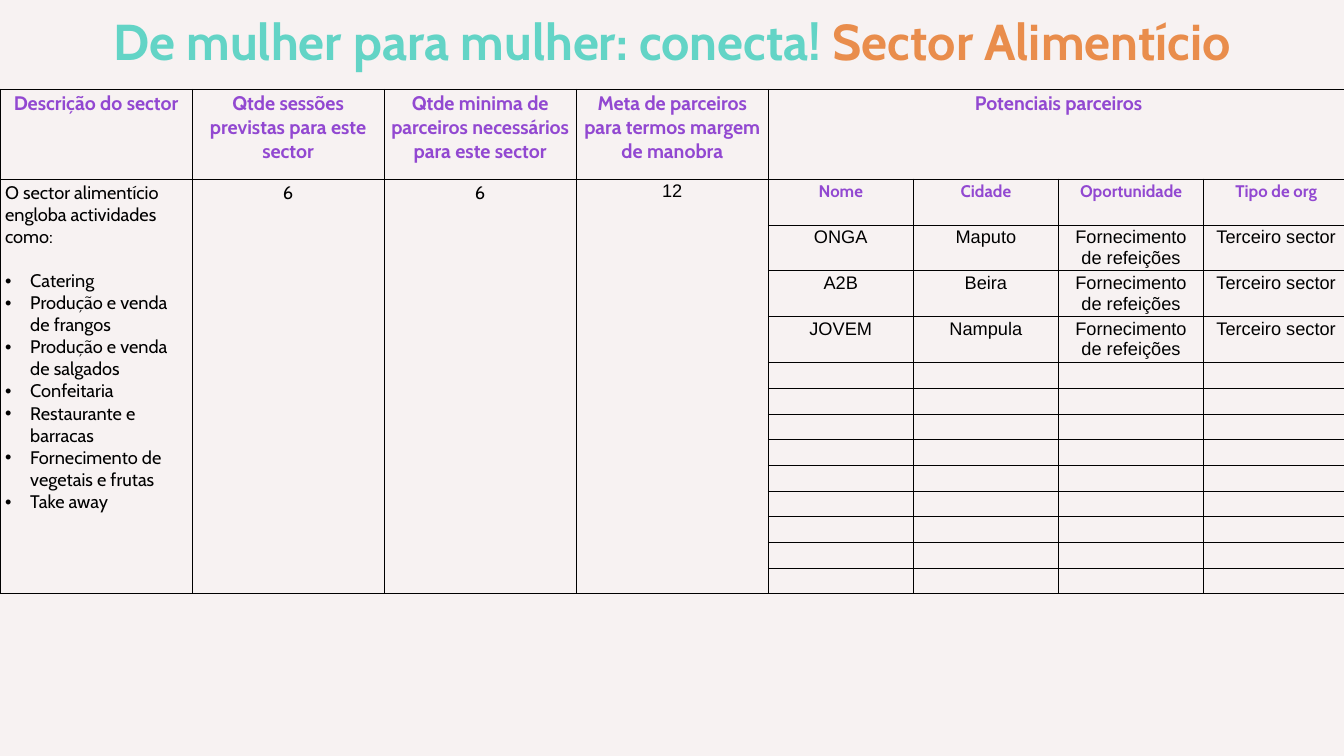
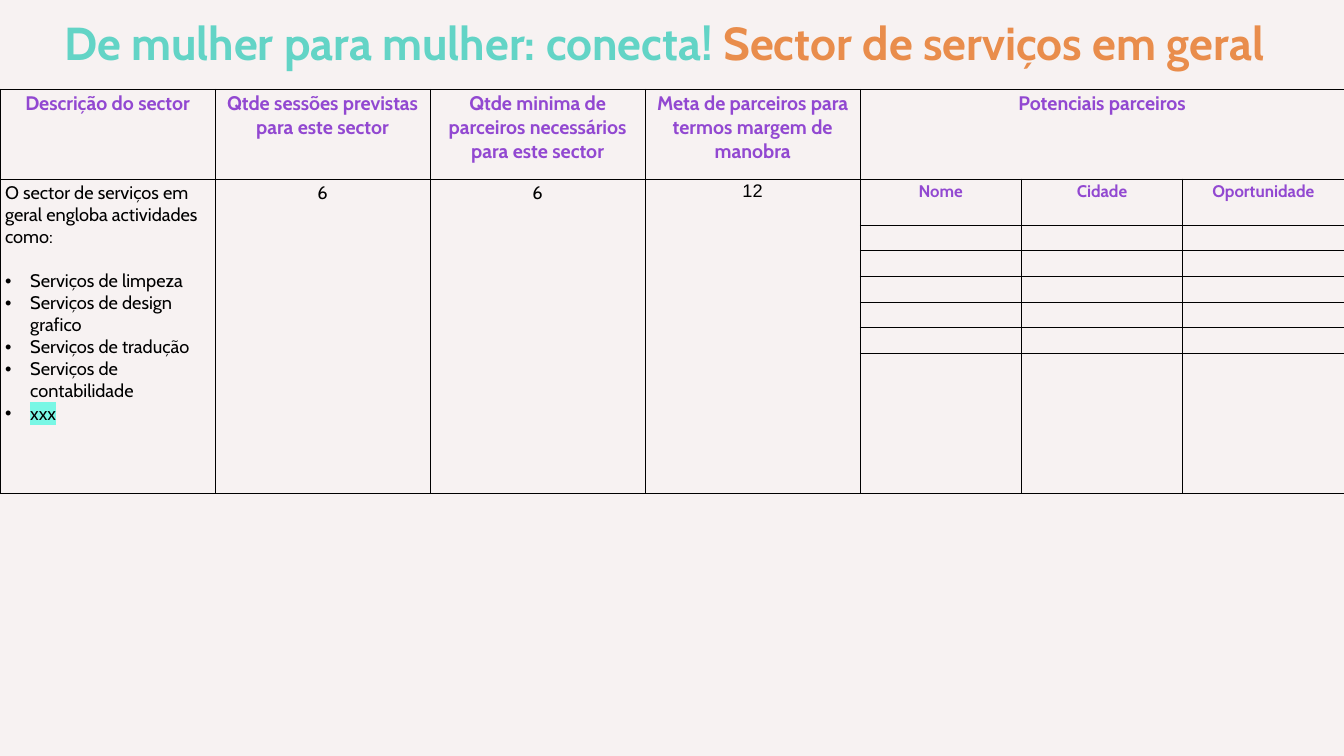
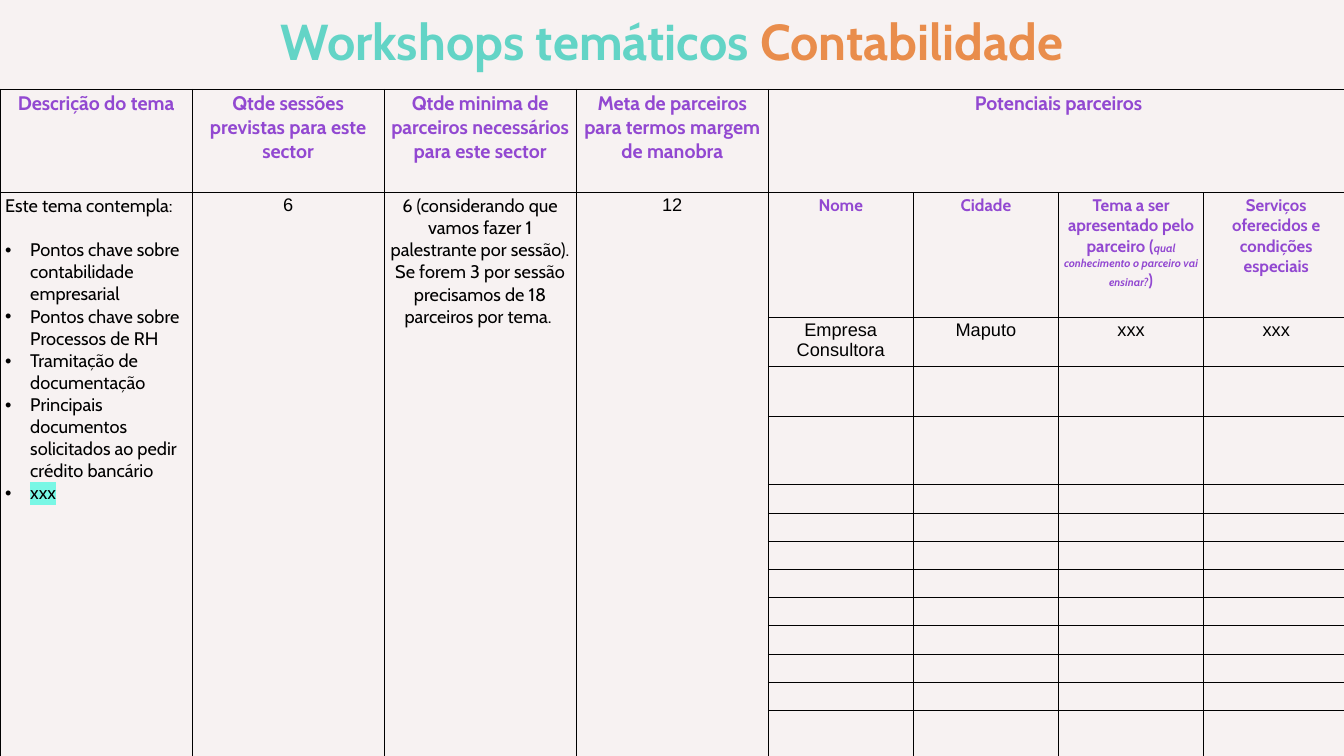
import pptx
import pptx.dml.color
import pptx.enum.text
import pptx.oxml
import pptx.oxml.ns
import pptx.util

WIDTH = pptx.util.Inches(26.67)
HEIGHT = pptx.util.Inches(15)
BACKGROUND, TEAL, ORANGE = "F7F2F2", "63D4C6", "E98D4C"
PURPLE, BLACK, HIGHLIGHT = "9248D1", "000000", "79F7E5"
HEADER = {"size": 28, "color": PURPLE, "bold": True}
SUBHEADER = {"size": 24, "color": PURPLE, "bold": True}
BODY = {"size": 26}
ENTRY = {"size": 26, "font": "Arial"}
CENTER = pptx.enum.text.PP_ALIGN.CENTER
LEFT = pptx.enum.text.PP_ALIGN.LEFT
LEAD_COLUMNS = 4
CONECTA = "De mulher para mulher: conecta! "
COUNT_HEADERS = [
    "Qtde sessões previstas para este sector",
    "Qtde minima de parceiros necessários para este sector",
    "Meta de parceiros para termos margem de manobra",
]


def rgb(color):
    return pptx.dml.color.RGBColor.from_string(color)


def share(length, percent):
    return round(length * percent / 100)


def xml(tag, content="", attributes=""):
    namespace = pptx.oxml.ns.nsdecls("a")
    return pptx.oxml.parse_xml(f"<a:{tag} {namespace} {attributes}>{content}</a:{tag}>")


def solid(color):
    return f'<a:srgbClr val="{color}"/>'


def add_text(paragraph, text, size=26, color=BLACK, font="Cabin", bold=False,
             italic=False, highlight=None, align=CENTER):
    paragraph.alignment = align
    run = paragraph.add_run()
    run.text = text
    run.font.size = pptx.util.Pt(size)
    run.font.bold = bold
    run.font.italic = italic
    run.font.color.rgb = rgb(color)
    run.font.name = font
    if highlight:
        latin = run.font._element.find(pptx.oxml.ns.qn("a:latin"))
        latin.addprevious(xml("highlight", solid(highlight)))


def add_bullet(paragraph):
    properties = paragraph._p.get_or_add_pPr()
    indent = pptx.util.Inches(0.5)
    properties.set("marL", str(indent))
    properties.set("indent", str(-indent))
    properties.append(xml("buFont", attributes='typeface="Arial"'))
    properties.append(xml("buChar", attributes='char="•"'))


def format_cell(cell):
    properties = cell._tc.get_or_add_tcPr()
    for side in ("lnL", "lnR", "lnT", "lnB"):
        fill = f"<a:solidFill>{solid(BLACK)}</a:solidFill>"
        properties.append(xml(side, fill, f'w="{pptx.util.Pt(1)}"'))
    cell.fill.background()


def fill_cell(cell, text, style):
    add_text(cell.text_frame.paragraphs[0], text, **style)


def place_title(slide, lead, subject, size=72, box=(0, 0, 100, 10.8)):
    title = slide.shapes.title
    left, top, width, height = box
    title.left, title.width = share(WIDTH, left), share(WIDTH, width)
    title.top, title.height = share(HEIGHT, top), share(HEIGHT, height)
    frame = title.text_frame
    frame.auto_size = pptx.enum.text.MSO_AUTO_SIZE.NONE
    frame.word_wrap = True
    frame.vertical_anchor = pptx.enum.text.MSO_ANCHOR.MIDDLE
    inset = pptx.util.Inches(0.06)
    frame.margin_left = frame.margin_right = inset
    frame.margin_top = frame.margin_bottom = inset
    add_text(frame.paragraphs[0], lead, size=size, color=TEAL, bold=True)
    add_text(frame.paragraphs[0], subject, size=size, color=ORANGE, bold=True)


def place_grid(slide, columns, rows, top=11.8):
    frame = slide.shapes.add_table(
        len(rows), len(columns), 0, share(HEIGHT, top),
        share(WIDTH, sum(columns)), share(HEIGHT, sum(rows)))
    table = frame.table
    table.first_row = table.horz_banding = False
    for column, width in zip(table.columns, columns):
        column.width = share(WIDTH, width)
    for row, height in zip(table.rows, rows):
        row.height = share(HEIGHT, height)
    for cell in table.iter_cells():
        format_cell(cell)
    last_row, last_column = len(rows) - 1, len(columns) - 1
    for column in range(LEAD_COLUMNS):
        table.cell(1, column).merge(table.cell(last_row, column))
    table.cell(0, LEAD_COLUMNS).merge(table.cell(0, last_column))
    return table


def fill_description(cell, introduction, activities):
    frame = cell.text_frame
    add_text(frame.paragraphs[0], introduction, align=LEFT, **BODY)
    for index, activity in enumerate(activities):
        paragraph = frame.add_paragraph()
        add_bullet(paragraph)
        if index == 0:
            paragraph.space_before = pptx.util.Pt(31.5)
        mark = HIGHLIGHT if activity == "xxx" else None
        add_text(paragraph, activity, align=LEFT, highlight=mark, **BODY)


def fill_partners(table, headers, partners):
    for column, header in enumerate(headers, LEAD_COLUMNS):
        paragraph = table.cell(1, column).text_frame.paragraphs[0]
        parts = [(header, {})] if isinstance(header, str) else header
        for text, changes in parts:
            add_text(paragraph, text, **{**SUBHEADER, **changes})
    for row, partner in enumerate(partners, 2):
        for column, value in enumerate(partner, LEAD_COLUMNS):
            fill_cell(table.cell(row, column), value, ENTRY)


def build_sector_slide(presentation, title, columns, rows, description_header,
                       introduction, activities, counts, partner_headers, partners=()):
    slide = presentation.slides.add_slide(presentation.slide_layouts[5])
    place_title(slide, **title)
    table = place_grid(slide, columns, rows)
    headers = [description_header, *COUNT_HEADERS, "Potenciais parceiros"]
    for column, header in enumerate(headers):
        fill_cell(table.cell(0, column), header, HEADER)
    fill_description(table.cell(1, 0), introduction, activities)
    for column, (count, style) in enumerate(counts, 1):
        fill_cell(table.cell(1, column), count, style)
    fill_partners(table, partner_headers, partners)


def main():
    presentation = pptx.Presentation()
    presentation.slide_width, presentation.slide_height = WIDTH, HEIGHT
    background = presentation.slide_master.background.fill
    background.solid()
    background.fore_color.rgb = rgb(BACKGROUND)

    wide_columns = [14.29] * LEAD_COLUMNS + [10.8] * 4
    meals = ["Fornecimento de refeições", "Terceiro sector"]
    sector_counts = [("6", BODY), ("6", BODY), ("12", ENTRY)]

    build_sector_slide(
        presentation,
        title={"lead": CONECTA, "subject": "Sector Alimentício"},
        columns=wide_columns,
        rows=[11.87] + [6.07] * 4 + [3.4] * 9,
        description_header="Descrição do sector",
        introduction="O sector alimentício engloba actividades como:",
        activities=[
            "Catering", "Produção e venda de frangos", "Produção e venda de salgados",
            "Confeitaria", "Restaurante e barracas",
            "Fornecimento de vegetais e frutas", "Take away",
        ],
        counts=sector_counts,
        partner_headers=["Nome", "Cidade", "Oportunidade", "Tipo de org"],
        partners=[
            ["ONGA", "Maputo", *meals],
            ["A2B", "Beira", *meals],
            ["JOVEM", "Nampula", *meals],
        ],
    )

    build_sector_slide(
        presentation,
        title={"lead": CONECTA, "subject": "Sector de serviços em geral",
               "size": 66, "box": (-1.42, 0.2, 101.69, 10.8)},
        columns=[16] * LEAD_COLUMNS + [12] * 3,
        rows=[11.87, 6.07] + [3.4] * 5 + [18.47],
        description_header="Descrição do sector",
        introduction="O sector de serviços em geral engloba actividades como:",
        activities=[
            "Serviços de limpeza", "Serviços de design grafico",
            "Serviços de tradução", "Serviços de contabilidade", "xxx",
        ],
        counts=sector_counts,
        partner_headers=["Nome", "Cidade", "Oportunidade"],
    )

    build_sector_slide(
        presentation,
        title={"lead": "Workshops temáticos ", "subject": "Contabilidade"},
        columns=wide_columns,
        rows=[13.67, 16.53, 6.4, 6.73, 9] + [3.73] * 8 + [6.27],
        description_header="Descrição do tema",
        introduction="Este tema contempla:",
        activities=[
            "Pontos chave sobre contabilidade empresarial",
            "Pontos chave sobre Processos de RH", "Tramitação de documentação",
            "Principais documentos solicitados ao pedir crédito bancário", "xxx",
        ],
        counts=[
            ("6", ENTRY),
            ("6 (considerando que vamos fazer 1 palestrante por sessão). "
             "Se forem 3 por sessão precisamos de 18 parceiros por tema. ", BODY),
            ("12", ENTRY),
        ],
        partner_headers=[
            "Nome", "Cidade",
            [("Tema a ser apresentado pelo parceiro (", {}),
             ("qual conhecimento o parceiro vai ensinar?", {"size": 16, "italic": True}),
             (")", {})],
            "Serviços oferecidos e condições especiais",
        ],
        partners=[["Empresa Consultora", "Maputo", "xxx", "xxx"]],
    )
    presentation.save("out.pptx")


if __name__ == "__main__":
    main()
